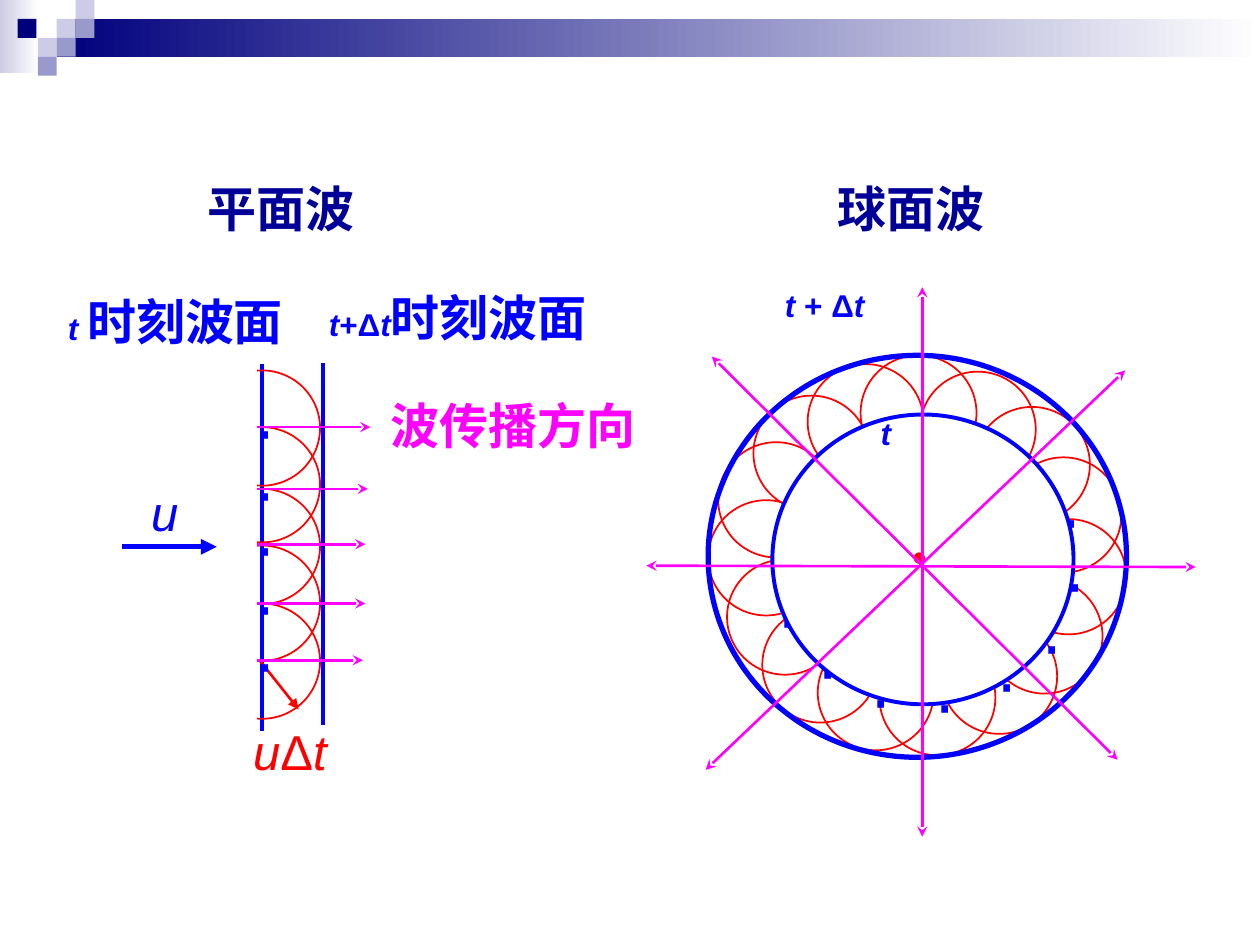
from lxml import etree
from pptx import Presentation
from pptx.dml.color import RGBColor
from pptx.enum.shapes import MSO_CONNECTOR, MSO_SHAPE
from pptx.enum.text import PP_ALIGN
from pptx.oxml.ns import qn
from pptx.util import Inches, Pt

RECT, OVAL = MSO_SHAPE.RECTANGLE, MSO_SHAPE.OVAL
STRAIGHT = MSO_CONNECTOR.STRAIGHT
JUSTIFY, LEFT = PP_ALIGN.JUSTIFY, PP_ALIGN.LEFT
COLS, ROWS = 100, 75
LATIN, HAN = "Arial", "Noto Sans CJK SC"
BLUE, RED, PINK, WHITE = "0000FF", "FF0000", "FF00FF", "FFFFFF"
NAVY, DEEP, LILAC, PALE = "000099", "00007D", "9999CC", "CCCCE6"
TIGHT, ROOMY = (0.01, 0.01), (0.1, 0.05)

SYMBOL = dict(name=LATIN, size=Pt(18), bold=True, italic=True)
UPRIGHT = {**SYMBOL, "italic": False}
HAN_BOLD = dict(name=HAN, size=Pt(28), bold=True)
BIG = dict(name=LATIN, size=Pt(28), italic=True)
BIG_UPRIGHT = {**BIG, "italic": False}
DOT = dict(name=LATIN, size=Pt(40))
CENTRE_DOT = dict(name=LATIN, size=Pt(24))


def rgb(value):
    return RGBColor.from_string(value)


class WaveSlide:
    """Draws on one slide; every position is in columns and rows of the grid."""

    def __init__(self, prs):
        self.col, self.row = prs.slide_width / COLS, prs.slide_height / ROWS
        self.shapes = prs.slides.add_slide(prs.slide_layouts[6]).shapes

    def place(self, *grid):
        units = (self.col, self.row) * 2
        return [round(g * u) for g, u in zip(grid, units)]

    def shape(self, kind, box, fill=None, line=None, width=1):
        """fill is a colour, a pair of colours for a gradient, or None."""
        s = self.shapes.add_shape(kind, *self.place(*box))
        s.shadow.inherit = False
        if fill is None:
            s.fill.background()
        elif isinstance(fill, tuple):
            s.fill.gradient()
            s.fill.gradient_angle = 0
            for stop, colour, position in zip(s.fill.gradient_stops, fill, (0, 1)):
                stop.color.rgb, stop.position = rgb(colour), position
        else:
            s.fill.solid()
            s.fill.fore_color.rgb = rgb(fill)
        if line:
            s.line.color.rgb, s.line.width = rgb(line), Pt(width)
        else:
            s.line.fill.background()

    def wavelet(self, left, top):
        self.shape(OVAL, (left, top, 9.2, 9.15), line=RED)

    def line(self, ends, colour, width, head=None, tail=None):
        s = self.shapes.add_connector(STRAIGHT, *self.place(*ends))
        s.line.color.rgb, s.line.width = rgb(colour), Pt(width)
        ln = s.line._get_or_add_ln()
        for tag, kind in (("a:headEnd", head), ("a:tailEnd", tail)):
            if kind:
                etree.SubElement(ln, qn(tag), type=kind)
        etree.SubElement(s._element.spPr, qn("a:effectLst"))

    def text(self, box, runs, colour, margins=TIGHT, align=JUSTIFY):
        s = self.shapes.add_textbox(*self.place(*box))
        tf = s.text_frame
        tf.word_wrap = True
        tf.margin_left = tf.margin_right = Inches(margins[0])
        tf.margin_top = tf.margin_bottom = Inches(margins[1])
        p = tf.paragraphs[0]
        p.alignment = align
        for words, style in runs:
            r = p.add_run()
            r.text = words
            r.font.color.rgb = rgb(colour)
            for key, value in style.items():
                setattr(r.font, key, value)
            etree.SubElement(r._r.get_or_add_rPr(), qn("a:ea"), typeface=style["name"])


def draw_banner(slide):
    slide.shape(RECT, (0, 0, 3.1, 5.8), (PALE, WHITE))
    slide.shape(RECT, (4.5, 1.5, 95.5, 3), (DEEP, WHITE))
    squares = [(3, 1, PALE), (4, 0, PALE), (4, 1, LILAC), (2, 2, PALE),
               (0.93, 1, DEEP), (3, 2, LILAC), (2, 3, LILAC)]
    for column, row, colour in squares:
        slide.shape(RECT, (column * 1.5, row * 1.5, 1.5, 1.5), colour)


def draw_plane_wave(slide):
    slide.text((26, 22.7, 24.4, 5.3), [("t", SYMBOL), ("+Δ", UPRIGHT), ("t", SYMBOL),
                                       ("时刻波面", HAN_BOLD)], BLUE)
    slide.line((20.8, 28.9, 20.8, 58), BLUE, 2.25)
    slide.line((25.6, 28.8, 25.6, 57.5), BLUE, 2.25)
    for top in (29.4, 33.9, 38.8, 43.3, 47.9):
        slide.wavelet(16.2, top)
    slide.line((20.6, 52.4, 23.7, 56.3), RED, 1.5, tail="triangle")

    rays = [(15.5, 33.9), (15.3, 38.8), (15.1, 43.2), (15.1, 47.9), (14.9, 52.4)]
    for left, y in rays:
        slide.text((20, y - 3.5, 4.1, 4.9), [("·", DOT)], BLUE)
    slide.text((20, 57.2, 7.8, 6.4),
               [("u", BIG), ("Δ", BIG_UPRIGHT), ("t", BIG)], RED)
    for left, y in rays:
        slide.line((left, y, left + 13.9, y), PINK, 1.5, tail="stealth")
    slide.text((30.9, 31.3, 21.2, 4.7), [("波传播方向", HAN_BOLD)], PINK)
    slide.text((5.3, 23, 20, 5.1), [("t ", SYMBOL), ("时刻波面", HAN_BOLD)], BLUE)
    slide.text((16.4, 14.1, 26.7, 5.7), [("平面波", HAN_BOLD)], NAVY)

    # Mask the back half of each wavelet
    slide.shape(RECT, (14, 28.4, 6.4, 29.4), WHITE)
    slide.line((9.7, 43.4, 17.2, 43.4), BLUE, 3, tail="triangle")
    slide.text((11, 37.8, 5.8, 5.7), [("u", BIG)], BLUE, ROOMY, LEFT)


def draw_spherical_wave(slide):
    wavelets = [(68.3, 28.2), (57, 35.1), (59.8, 31.4), (77.3, 32.3), (73, 29.5),
                (64.1, 28.9), (56.2, 39.7), (57.7, 44.4), (78.3, 45.9), (64.9, 50.4),
                (60.5, 48.2), (74.7, 49.1), (79.8, 36.3), (80.2, 41.2), (69.8, 50.8)]
    for left, top in wavelets:
        slide.wavelet(left, top)
    slide.shape(OVAL, (56.2, 28.2, 33.2, 31.9), line=BLUE, width=3)
    slide.text((62.2, 22.6, 13, 6.2),
               [("t ", SYMBOL), ("+ Δ", UPRIGHT), ("t", SYMBOL)], BLUE)
    slide.text((66.4, 14.1, 22.3, 5.5), [("球面波", HAN_BOLD)], NAVY)

    sources = [(61.5, 45.4), (64.7, 49.5), (68.9, 51.8), (74, 52.2),
               (78.9, 50.5), (82.5, 47.5), (84.3, 42.6), (84, 37.5)]
    for left, top in sources:
        slide.text((left, top, 4.1, 4.9), [("·", DOT)], BLUE)
    slide.shape(OVAL, (61.3, 32.9, 23.9, 23), WHITE, BLUE, 2.25)
    slide.text((69.8, 32.8, 5.6, 7.7), [("t", SYMBOL)], BLUE)
    slide.text((71.4, 41.6, 5, 5), [("•", CENTRE_DOT)], RED, ROOMY, LEFT)

    rays = [(51.3, 44.9, 94.9, 45), (73.2, 22.8, 73.2, 66.4),
            (56.5, 28.3, 88.7, 60.3), (56, 61.1, 89.3, 29.4)]
    for ends in rays:
        slide.line(ends, PINK, 1.5, head="stealth", tail="stealth")


def main():
    prs = Presentation()
    prs.slide_width, prs.slide_height = Inches(10), Inches(7.5)
    slide = WaveSlide(prs)
    draw_banner(slide)
    draw_plane_wave(slide)
    draw_spherical_wave(slide)
    prs.save("out.pptx")


if __name__ == "__main__":
    main()
